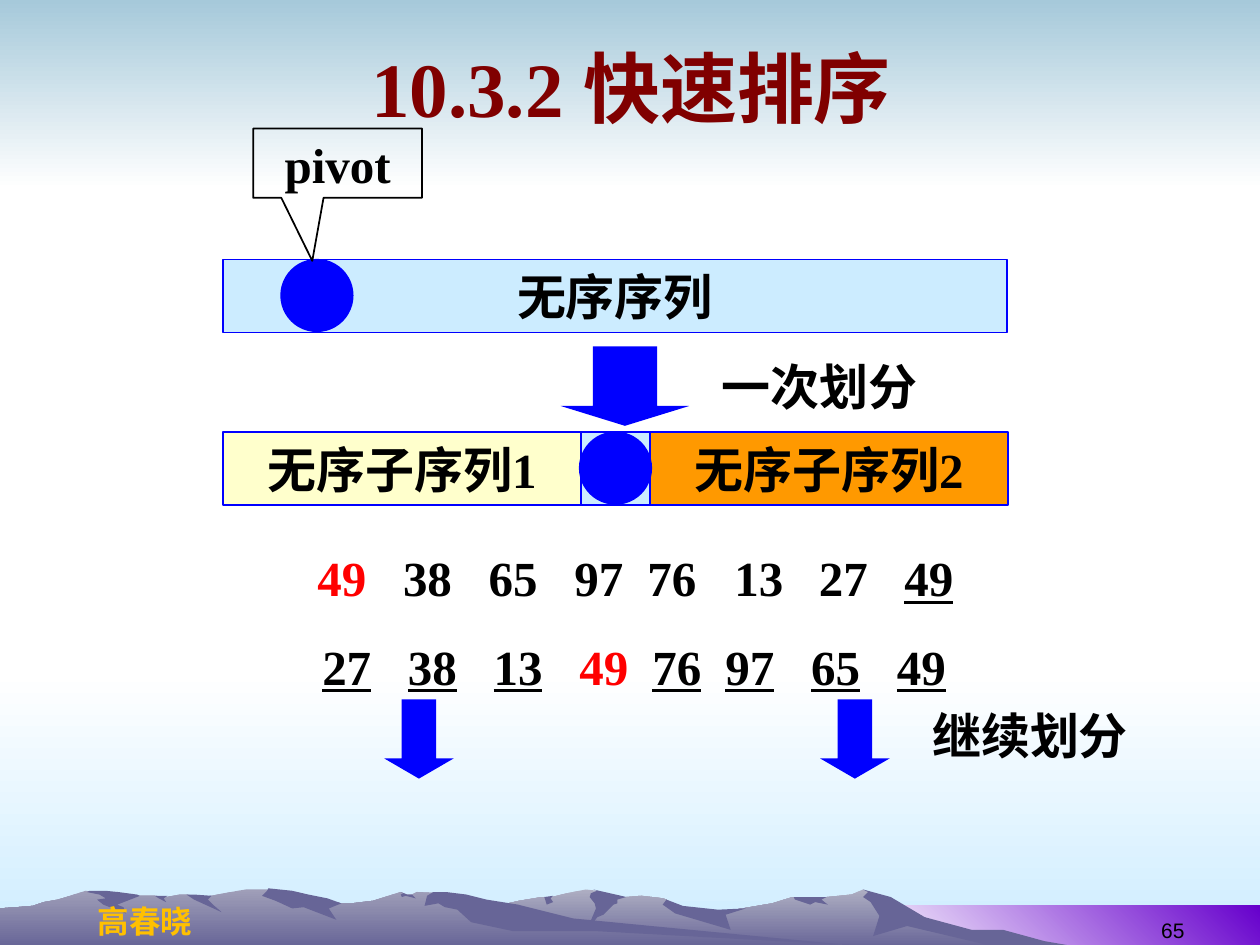
"""Build a slide that explains one partition step of quicksort."""
import pptx
import pptx.util
import pptx.dml.color
import pptx.enum.shapes
import pptx.enum.text
import lxml.etree

Inches, Pt = pptx.util.Inches, pptx.util.Pt
SHAPE = pptx.enum.shapes.MSO_SHAPE
ALIGN = pptx.enum.text.PP_ALIGN
ANCHOR = pptx.enum.text.MSO_ANCHOR
SERIF, SANS, PLAIN = "Times New Roman", "Noto Sans CJK SC", "Arial"
NAMESPACE = "{http://schemas.openxmlformats.org/drawingml/2006/main}"

COLORS = {
    "white": "FFFFFF", "black": "000000", "red": "FF0000", "blue": "0000FF",
    "maroon": "800000", "gold": "FFC000", "sky": "CCECFF", "dusk": "A6C9DA",
    "purple": "6600CC", "yellow": "FFFFCC", "orange": "FF9900",
    "rock": "676597", "ridge": "9F9EB8", "far_ridge": "AEAEC2",
}
BANDS = [
    ((0, 5.33, 10, 2.17), ("white", "sky"), 270),
    ((0, 0, 10, 1.5), ("dusk", "white"), 270),
    ((6.83, 7.19, 3.17, 0.33), ("white", "purple"), 45),
]
# Mountain outlines are in hundredths of an inch.
FAR_MOUNTAIN = [
    (802, 746), (778, 740), (764, 738), (723, 725), (702, 712), (685, 706), (676, 710),
    (656, 712), (629, 712), (613, 717), (566, 725), (536, 721), (529, 714), (526, 713),
    (509, 711), (497, 712), (486, 713), (474, 707), (465, 706), (450, 709), (438, 712),
    (430, 712), (412, 715), (399, 718), (394, 719), (355, 725), (327, 731), (277, 745),
    (258, 752), (821, 752)]
NEAR_MOUNTAIN = [
    (690, 752), (667, 750), (432, 732), (354, 709), (331, 708), (327, 710), (323, 710),
    (318, 708), (296, 715), (279, 717), (271, 717), (260, 715), (236, 717), (223, 708),
    (219, 707), (212, 706), (195, 706), (189, 707), (178, 709), (168, 711), (160, 712),
    (148, 710), (143, 710), (132, 712), (123, 711), (111, 711), (94, 712), (68, 707),
    (56, 711), (46, 714), (35, 716), (26, 719), (14, 720), (0, 721), (0, 752)]
FAR_SHADOWS = [
    [(796, 738), (771, 738), (734, 728), (707, 712), (685, 706), (689, 708), (685, 712),
     (691, 716), (698, 727), (693, 743), (720, 735), (792, 752), (858, 752), (829, 747)],
    [(471, 706), (474, 707), (469, 709), (468, 712), (472, 717), (473, 721), (465, 740),
     (474, 728), (479, 726), (487, 718), (490, 717), (490, 714), (497, 712), (493, 711)],
    [(529, 714), (526, 718), (536, 725), (580, 738), (576, 726), (592, 721), (570, 722),
     (542, 719)],
    [(650, 712), (630, 712), (631, 714), (643, 718), (647, 716), (657, 718), (652, 714),
     (656, 712)],
    [(433, 715), (432, 712), (439, 711), (437, 713), (439, 716), (434, 718)],
]
NEAR_SHADOWS = [
    [(212, 707), (208, 711), (219, 715), (232, 721), (241, 720), (267, 730), (261, 721),
     (271, 717), (260, 713), (245, 710), (232, 707), (213, 705)],
    [(370, 710), (354, 708), (344, 708), (339, 711), (337, 719), (348, 717), (353, 720),
     (363, 722), (374, 732), (407, 739), (472, 739), (690, 751), (683, 751), (455, 729),
     (427, 722), (411, 718), (386, 714)],
    [(318, 710), (320, 709), (318, 708), (323, 710), (327, 710), (330, 713), (322, 711),
     (319, 712)],
    [(154, 710), (168, 711), (165, 714), (169, 718), (176, 724), (154, 714), (148, 710)],
    [(133, 711), (130, 713), (132, 716), (126, 713), (123, 711)],
    [(109, 710), (111, 711), (93, 718), (98, 720), (100, 725), (82, 718), (77, 714),
     (84, 713), (79, 710), (69, 708), (71, 707), (84, 707), (94, 708)],
]
MOUNTAINS = [(FAR_MOUNTAIN, "far_ridge", FAR_SHADOWS), (NEAR_MOUNTAIN, "ridge", NEAR_SHADOWS)]

TITLE = "10.3.2 快速排序"
BARS = [
    ("无序序列", (1.77, 2.06, 6.22, 0.58), "sky"),
    ("无序子序列1", (1.77, 3.43, 2.84, 0.58), "yellow"),
    ("无序子序列2", (5.16, 3.43, 2.84, 0.58), "orange"),
    ("", (4.61, 3.43, 0.55, 0.58), "sky"),
]
PIVOTS = [(2.24, 2.07, 0.55, 0.55), (4.61, 3.44, 0.55, 0.55)]
ARROWS = [
    ((4.45, 2.75, 1.02, 0.63), 0.25),
    ((3.05, 5.55, 0.55, 0.63), 0.29),
    ((6.51, 5.55, 0.55, 0.63), 0.29),
]
LABELS = [("一次划分", (5.63, 2.78, 2.05, 0.57)), ("继续划分", (7.3, 5.55, 2.05, 0.57))]
CALLOUT = ("pivot", (2.01, 1.02, 1.34, 0.55), (-0.15, 1.41))
NUMBER_ROWS = [
    ((2.03, 4.3, 6.25, 0.57), (2.52, 3.2, 3.88, 4.56, 5.14, 5.83, 6.5, 7.18),
     [("\t49", "red", False), ("\t38\t65\t97\t76\t13\t27\t", "black", False),
      ("49", "black", True)]),
    ((0.71, 5, 8.74, 0.57), (2.56, 3.24, 3.92, 4.6, 5.18, 5.76, 6.44, 7.12),
     [("\t", "black", False), ("27\t38\t13\t", "black", True), ("49\t", "red", False),
      ("76\t97\t65\t49", "black", True)]),
]
AUTHOR = ("高春晓", (0.67, 7.11, 0.96, 0.4))
PAGE = ("65", (7.17, 7.03, 2.33, 0.5))


def rgb(name):
    return pptx.dml.color.RGBColor.from_string(COLORS[name])


def style_run(run, size=28, color="black", name=SERIF, bold=True, underline=False):
    font = run.font
    font.size, font.bold, font.underline, font.name = Pt(size), bold, underline, name
    font.color.rgb = rgb(color)
    east_asian = lxml.etree.SubElement(run._r.get_or_add_rPr(), NAMESPACE + "ea")
    east_asian.set("typeface", SANS)


def write(shape, text, align=ALIGN.CENTER, anchor=ANCHOR.MIDDLE, wrap=True, **style):
    frame = shape.text_frame
    frame.text = text
    frame.word_wrap, frame.vertical_anchor = wrap, anchor
    frame.paragraphs[0].alignment = align
    for run in frame.paragraphs[0].runs:
        style_run(run, **style)


def paint(shape, fill=None, line=None, width=1):
    shape.shadow.inherit = False
    if fill:
        shape.fill.solid()
        shape.fill.fore_color.rgb = rgb(fill)
    else:
        shape.fill.background()
    if line:
        shape.line.color.rgb = rgb(line)
        shape.line.width = Pt(width)
    else:
        shape.line.fill.background()


def paint_gradient(shape, colors, angle):
    paint(shape)
    shape.fill.gradient()
    shape.fill.gradient_angle = angle
    for stop, color, position in zip(shape.fill.gradient_stops, colors, (0, 1)):
        stop.color.rgb = rgb(color)
        stop.position = position


def add_shape(slide, kind, box):
    return slide.shapes.add_shape(kind, *map(Inches, box))


def add_text(slide, text, box, **options):
    write(slide.shapes.add_textbox(*map(Inches, box)), text, **options)


def add_outline(slide, points):
    builder = slide.shapes.build_freeform(*points[0], scale=Inches(0.01))
    builder.add_line_segments(points[1:], close=True)
    return builder.convert_to_shape()


def add_backdrop(slide):
    for box, colors, angle in BANDS:
        paint_gradient(add_shape(slide, SHAPE.RECTANGLE, box), colors, angle)
    for outline, ridge, shadows in MOUNTAINS:
        paint_gradient(add_outline(slide, outline), (ridge, "rock"), 270)
        for points in shadows:
            paint(add_outline(slide, points), "rock")


def add_number_row(slide, box, stops, parts):
    frame = slide.shapes.add_textbox(*map(Inches, box)).text_frame
    frame.word_wrap = True
    paragraph = frame.paragraphs[0]
    tabs = lxml.etree.SubElement(paragraph._p.get_or_add_pPr(), NAMESPACE + "tabLst")
    text_left = box[0] + 0.1
    for stop in stops:
        position = str(Inches(round(stop - text_left, 2)))
        lxml.etree.SubElement(tabs, NAMESPACE + "tab", pos=position, algn="l")
    for text, color, underline in parts:
        run = paragraph.add_run()
        run.text = text
        style_run(run, color=color, underline=underline)


def main():
    presentation = pptx.Presentation()
    presentation.slide_width, presentation.slide_height = Inches(10), Inches(7.5)
    slide = presentation.slides.add_slide(presentation.slide_layouts[5])
    add_backdrop(slide)
    add_text(slide, *AUTHOR, wrap=False, anchor=ANCHOR.TOP, size=18, color="gold", name=SANS)
    add_text(slide, *PAGE, align=ALIGN.RIGHT, anchor=ANCHOR.BOTTOM, size=12, name=PLAIN,
             bold=False)

    title = slide.shapes.title
    title.element.getparent().append(title.element)
    title.left, title.top, title.width, title.height = map(Inches, (0.51, 0.13, 9, 1.12))
    write(title, TITLE, size=44, color="maroon")

    for text, box, fill in BARS:
        bar = add_shape(slide, SHAPE.RECTANGLE, box)
        paint(bar, fill, "blue")
        write(bar, text, wrap=False)
    for box in PIVOTS:
        paint(add_shape(slide, SHAPE.OVAL, box), "blue", "blue", 2.25)
    for box, head in ARROWS:
        arrow = add_shape(slide, SHAPE.DOWN_ARROW, box)
        arrow.adjustments[0], arrow.adjustments[1] = 0.5, head
        paint(arrow, "blue")
    for text, box in LABELS:
        add_text(slide, text, box, align=ALIGN.LEFT, anchor=ANCHOR.TOP)

    text, box, tip = CALLOUT
    callout = add_shape(slide, SHAPE.RECTANGULAR_CALLOUT, box)
    callout.adjustments[0], callout.adjustments[1] = tip
    paint(callout, line="black")
    write(callout, text, anchor=ANCHOR.TOP)
    for row in NUMBER_ROWS:
        add_number_row(slide, *row)
    presentation.save("out.pptx")


if __name__ == "__main__":
    main()
